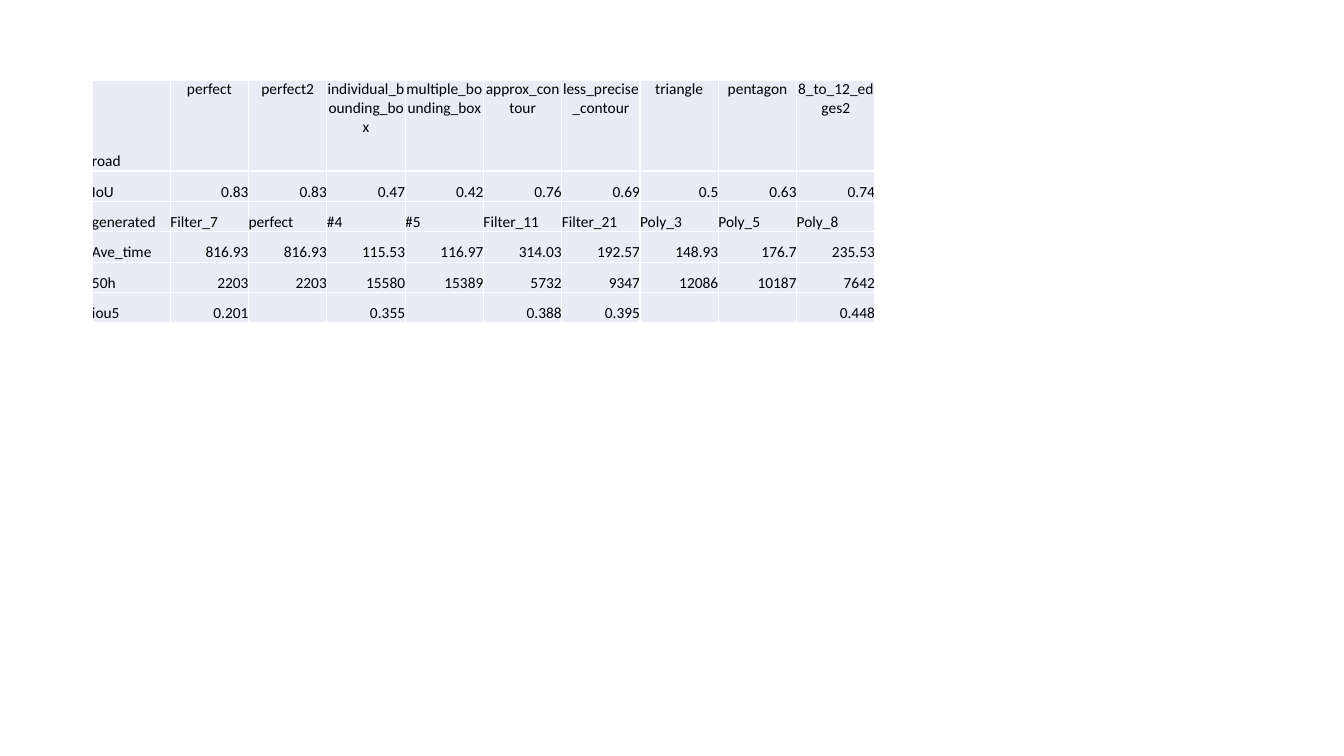
"""Build a slide with a table of road annotation quality and timing results."""
from lxml.etree import SubElement
from pptx import Presentation
from pptx.dml.color import RGBColor as RGB
from pptx.enum.text import MSO_ANCHOR as ANCHOR, PP_ALIGN as ALIGN
from pptx.oxml import parse_xml
from pptx.oxml.ns import nsdecls, qn
from pptx.util import Pt

PX = 914400 / 100.8
THEME = {"font": "Calibri", "size": 11, "text": "000000", "cell": "E9EBF5", "rule": "FFFFFF", "rule_width": 1}
LEFT, TOP, WIDTH, HEIGHT, HEADER_HEIGHT = 92, 80, 783, 243, 91

RESULTS = [
    ["road", "perfect", "perfect2", "individual_bounding_box", "multiple_bounding_box",
     "approx_contour", "less_precise_contour", "triangle", "pentagon", "8_to_12_edges2"],
    ["IoU", 0.83, 0.83, 0.47, 0.42, 0.76, 0.69, 0.5, 0.63, 0.74],
    ["generated", "Filter_7", "perfect", "#4", "#5", "Filter_11", "Filter_21", "Poly_3", "Poly_5", "Poly_8"],
    ["Ave_time", 816.93, 816.93, 115.53, 116.97, 314.03, 192.57, 148.93, 176.7, 235.53],
    ["50h", 2203, 2203, 15580, 15389, 5732, 9347, 12086, 10187, 7642],
    ["iou5", 0.201, "", 0.355, "", 0.388, 0.395, "", "", 0.448],
]


def px(length):
    return round(length * PX)


def add_rules(cell):
    properties = cell._tc.get_or_add_tcPr()
    for position, side in enumerate(("lnL", "lnR", "lnT", "lnB")):
        properties.insert(position, parse_xml(
            f'<a:{side} {nsdecls("a")} w="{Pt(THEME["rule_width"])}"><a:solidFill>'
            f'<a:srgbClr val="{THEME["rule"]}"/></a:solidFill></a:{side}>'))


deck = Presentation()
deck.slide_width, deck.slide_height = px(1344), px(756)
slide = deck.slides.add_slide(deck.slide_layouts[6])

results = slide.shapes.add_table(
    len(RESULTS), len(RESULTS[0]), px(LEFT), px(TOP), px(WIDTH), px(HEIGHT)).table
results.first_row = results.horz_banding = False
for column in results.columns:
    column.width = px(WIDTH / len(RESULTS[0]))
for index, row in enumerate(results.rows):
    row.height = px((HEIGHT - HEADER_HEIGHT) / (len(RESULTS) - 1) if index else HEADER_HEIGHT)

for row_index, values in enumerate(RESULTS):
    for column_index, value in enumerate(values):
        cell = results.cell(row_index, column_index)
        heading = row_index == 0 and column_index > 0
        cell_format = {
            "margin_left": 0, "margin_right": 0, "margin_top": 0, "margin_bottom": 0,
            "vertical_anchor": ANCHOR.TOP if heading else ANCHOR.BOTTOM,
        }
        for name, setting in cell_format.items():
            setattr(cell, name, setting)
        cell.fill.solid()
        cell.fill.fore_color.rgb = RGB.from_string(THEME["cell"])
        add_rules(cell)

        paragraph = cell.text_frame.paragraphs[0]
        if value == "":
            SubElement(paragraph._p, qn("a:endParaRPr"), sz=str(THEME["size"] * 100))
            continue
        if heading:
            paragraph.alignment = ALIGN.CENTER
        else:
            paragraph.alignment = ALIGN.LEFT if isinstance(value, str) else ALIGN.RIGHT
        entry = paragraph.add_run()
        entry.text = str(value)
        for name, setting in {"name": THEME["font"], "size": Pt(THEME["size"]), "bold": False}.items():
            setattr(entry.font, name, setting)
        entry.font.color.rgb = RGB.from_string(THEME["text"])

deck.save("out.pptx")
